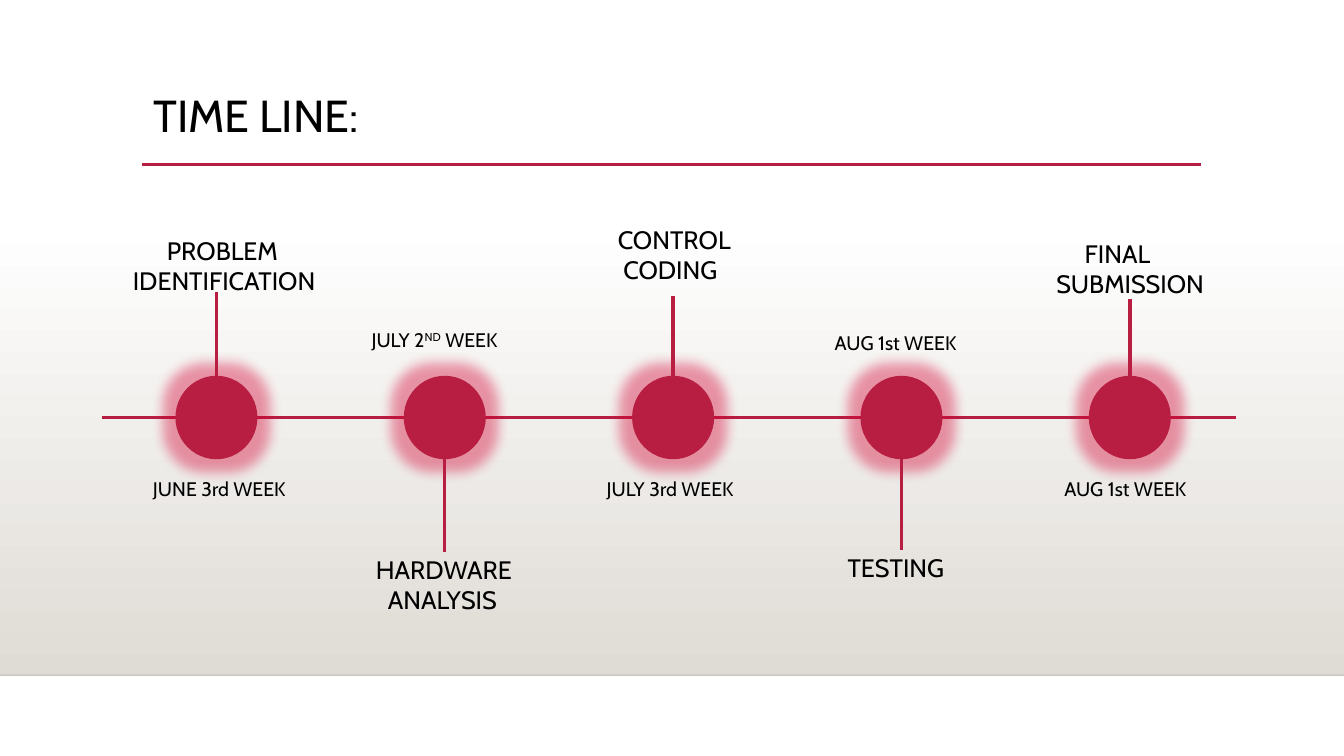
from pptx import Presentation
from pptx.dml.color import RGBColor
from pptx.enum.shapes import MSO_CONNECTOR, MSO_SHAPE
from pptx.enum.text import MSO_ANCHOR, PP_ALIGN
from pptx.oxml import parse_xml
from pptx.oxml.ns import nsdecls, qn
from pptx.util import Pt

STRAIGHT = MSO_CONNECTOR.STRAIGHT
OVAL, RECTANGLE = MSO_SHAPE.OVAL, MSO_SHAPE.RECTANGLE
TOP, LEFT = MSO_ANCHOR.TOP, PP_ALIGN.LEFT

CRIMSON = RGBColor(0xB7, 0x1E, 0x42)
SAND = RGBColor(0xDF, 0xDB, 0xD5)
WHITE = RGBColor(0xFF, 0xFF, 0xFF)
BLACK = RGBColor(0x00, 0x00, 0x00)

WIDTH, HEIGHT = 960, 540
AXIS_Y = 298.2
FIRST_X, STEP_X = 154.6, 163.1
DOT_WIDTH, DOT_HEIGHT = 58.6, 59.6
GLOW_RADIUS = 18
STEM_LENGTH = 82.4

# Label lines as (text, first-line indent), label left and top, stem start,
# date as (text, baseline) pieces, date left and top
MILESTONES = [
    ([("PROBLEM", 24.3), ("IDENTIFICATION", 0)], 87.8, 164.2, 208.8,
     [("JUNE 3rd WEEK", 0)], 102.2, 337.4),
    ([("HARDWARE", 0), ("ANALYSIS", 8.5)], 261.4, 392.4, 312,
     [("JULY 2", 0), ("ND", 30), (" WEEK", 0)], 258.3, 230.6),
    ([("CONTROL", 0), ("CODING", 4)], 434.2, 156.4, 211.7,
     [("JULY 3rd WEEK", 0)], 426.2, 337.2),
    ([("TESTING", 0)], 598.3, 390.8, 310.2,
     [("AUG 1st WEEK", 0)], 589, 232.8),
    ([("FINAL SUBMISSION", 20.3)], 747.4, 166.8, 213.8,
     [("AUG 1st WEEK", 0)], 753.1, 337.2),
]


class TimelineSlide:
    font = "Cabin"

    def __init__(self, presentation):
        self.slide = presentation.slides.add_slide(presentation.slide_layouts[5])
        self.shapes = self.slide.shapes

    def style(self, paragraph, size):
        paragraph.font.name = self.font
        paragraph.font.size = Pt(size)
        paragraph.font.color.rgb = BLACK

    def title(self, text, left, top, width, height):
        shape = self.shapes.title
        shape.left, shape.top = Pt(left), Pt(top)
        shape.width, shape.height = Pt(width), Pt(height)
        frame = shape.text_frame
        frame.text = text
        frame.vertical_anchor = TOP
        paragraph = frame.paragraphs[0]
        paragraph.alignment = LEFT
        paragraph.line_spacing = 0.9
        self.style(paragraph, 32)

    def backdrop(self, top, height):
        shape = self.shapes.add_shape(RECTANGLE, 0, Pt(top), Pt(WIDTH), Pt(height))
        shape.shadow.inherit = False
        shape.line.fill.background()
        shape.fill.gradient()
        shape.fill.gradient_angle = 270
        for stop, color in zip(shape.fill.gradient_stops, (WHITE, SAND)):
            stop.color.rgb = color
        # Behind the title
        self.shapes._spTree.insert(2, shape._element)

    def line(self, x1, y1, x2, y2, color=CRIMSON, width=2.5, alpha=100):
        connector = self.shapes.add_connector(STRAIGHT, Pt(x1), Pt(y1), Pt(x2), Pt(y2))
        connector.line.color.rgb = color
        connector.line.width = Pt(width)
        properties = connector._element.spPr
        if alpha < 100:
            rgb = properties.find(".//" + qn("a:srgbClr"))
            rgb.append(parse_xml(f'<a:alpha {nsdecls("a")} val="{alpha * 1000}"/>'))
        properties.append(parse_xml(f'<a:effectLst {nsdecls("a")}/>'))

    def dot(self, center_x):
        shape = self.shapes.add_shape(
            OVAL, Pt(center_x - DOT_WIDTH / 2), Pt(AXIS_Y - DOT_HEIGHT / 2),
            Pt(DOT_WIDTH), Pt(DOT_HEIGHT))
        shape.fill.solid()
        shape.fill.fore_color.rgb = CRIMSON
        shape.line.fill.background()
        shape._element.spPr.append(parse_xml(
            f'<a:effectLst {nsdecls("a")}><a:glow rad="{Pt(GLOW_RADIUS)}">'
            f'<a:srgbClr val="{CRIMSON}"><a:satMod val="175000"/>'
            '<a:alpha val="40000"/></a:srgbClr></a:glow></a:effectLst>'))

    def text_frame(self, left, top, width, height):
        box = self.shapes.add_textbox(Pt(left), Pt(top), Pt(width), Pt(height))
        box.text_frame.word_wrap = True
        return box.text_frame

    def label(self, lines, left, top):
        text = "\n".join(line for line, _ in lines)
        # Each word takes a line of its own
        frame = self.text_frame(left, top, 150.5, 7 + 22 * len(text.split()))
        frame.text = text
        for paragraph, (_, indent) in zip(frame.paragraphs, lines):
            self.style(paragraph, 18)
            paragraph._p.get_or_add_pPr().set("indent", str(Pt(indent)))

    def date(self, pieces, left, top):
        paragraph = self.text_frame(left, top, 138.2, 24.5).paragraphs[0]
        self.style(paragraph, 14)
        for text, baseline in pieces:
            run = paragraph.add_run()
            run.text = text
            if baseline:
                run._r.get_or_add_rPr().set("baseline", str(baseline * 1000))


def main():
    presentation = Presentation()
    presentation.slide_width, presentation.slide_height = Pt(WIDTH), Pt(HEIGHT)
    timeline = TimelineSlide(presentation)

    # Background and heading
    timeline.backdrop(159.1, 323.3)
    timeline.line(0, 482.4, WIDTH, 482.4, BLACK, 1, 20)
    timeline.line(101.5, 117.4, 858.2, 117.4)
    timeline.title("TIME LINE:", 102.2, 63.4, 756, 82.8)

    # Time axis and milestones
    timeline.line(72.7, AXIS_Y, 882.7, AXIS_Y)
    for index, milestone in enumerate(MILESTONES):
        lines, label_left, label_top, stem_top, date, date_left, date_top = milestone
        x = FIRST_X + index * STEP_X
        timeline.dot(x)
        timeline.line(x, stem_top, x, stem_top + STEM_LENGTH)
        timeline.label(lines, label_left, label_top)
        timeline.date(date, date_left, date_top)

    presentation.save("out.pptx")


if __name__ == "__main__":
    main()
